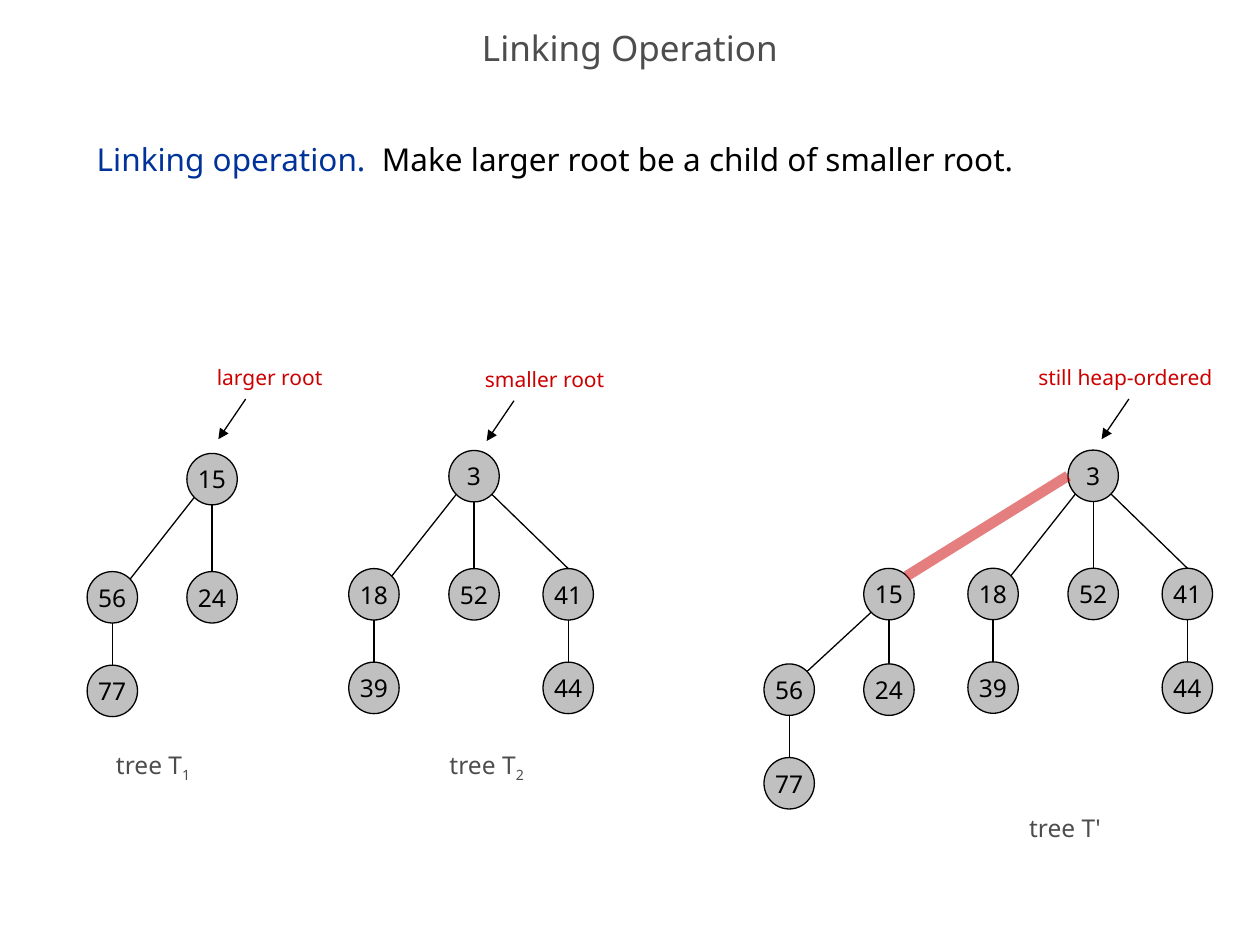
"""Build a slide on linking two heap-ordered trees."""
from dataclasses import dataclass, field
from typing import NamedTuple

from lxml import etree
from pptx import Presentation
from pptx.dml.color import RGBColor
from pptx.enum.shapes import MSO_CONNECTOR, MSO_SHAPE
from pptx.enum.text import MSO_ANCHOR, PP_ALIGN
from pptx.oxml.ns import qn
from pptx.util import Pt

STRAIGHT = MSO_CONNECTOR.STRAIGHT
ELLIPSE = MSO_SHAPE.OVAL
MIDDLE = MSO_ANCHOR.MIDDLE
TOP_ANCHOR = MSO_ANCHOR.TOP
LEFT_ALIGN = PP_ALIGN.LEFT
CENTER = PP_ALIGN.CENTER


@dataclass(frozen=True)
class Theme:
    font: str = "Noto Sans"
    ink: RGBColor = RGBColor(0x00, 0x00, 0x00)
    muted: RGBColor = RGBColor(0x4D, 0x4D, 0x4D)
    term: RGBColor = RGBColor(0x00, 0x33, 0x99)
    accent: RGBColor = RGBColor(0xCC, 0x00, 0x00)
    node_fill: RGBColor = RGBColor(0xC0, 0xC0, 0xC0)
    title_size: float = 20
    body_size: float = 18
    node_size: float = 14
    note_size: float = 12
    hairline: float = 0.75
    link_width: float = 6


THEME = Theme()
NODE_WIDTH, NODE_HEIGHT = 28.8, 29.4
LEVEL_GAP, LEAF_GAP, SUBTREE_GAP = 67.5, 53.5, 54.6


class Point(NamedTuple):
    x: float
    y: float


class Box(NamedTuple):
    left: float
    top: float
    width: float
    height: float


class Callout(NamedTuple):
    text: str
    box: Box
    tip: Point


class Caption(NamedTuple):
    text: str
    subscript: str
    box: Box


@dataclass(frozen=True)
class Node:
    key: str
    center: Point
    children: list["Node"] = field(default_factory=list)

    def site(self, across: float, down: float) -> Point:
        return Point(self.center.x + across * NODE_WIDTH, self.center.y + down * NODE_HEIGHT)


TOP, BOTTOM, LEFT = (0, -0.5), (0, 0.5), (-0.5, 0)
TOP_RIGHT, BOTTOM_LEFT, BOTTOM_RIGHT = (0.35, -0.35), (-0.35, 0.35), (0.35, 0.35)


def stem(key: str, x: float, y: float, leaf: str) -> Node:
    return Node(key, Point(x, y), [Node(leaf, Point(x, y + LEAF_GAP))])


def larger_tree(x: float, y: float, gap: float) -> Node:
    below = y + gap
    return Node("15", Point(x, y), [stem("56", x - 57, below, "77"), Node("24", Point(x, below))])


def smaller_tree(x: float, y: float) -> Node:
    below = y + LEVEL_GAP
    return Node("3", Point(x, y), [
        stem("18", x - 57.2, below, "39"),
        Node("52", Point(x, below)),
        stem("41", x + 53.8, below, "44"),
    ])


TREE_1 = larger_tree(121.2, 273.8, LEVEL_GAP)
TREE_2 = smaller_tree(270.9, 272.1)
MERGED = smaller_tree(624.7, 271.9)
LINKED = larger_tree(508, 339.5, SUBTREE_GAP)

CALLOUTS = [
    Callout("smaller root", Box(270, 205.9, 85.7, 21.8), Point(278.1, 252)),
    Callout("larger root", Box(116.8, 205, 78.5, 21.8), Point(124.8, 251)),
    Callout("still heap-ordered", Box(586.2, 205, 116.6, 21.8), Point(629.5, 251)),
]
CAPTIONS = [
    Caption("tree T", "1", Box(59.2, 425, 60.5, 24)),
    Caption("tree T", "2", Box(249.8, 425, 60.5, 24)),
    Caption("tree T'", "", Box(581, 461, 57.6, 24)),
]


def style_font(font, size: float, color: RGBColor) -> None:
    font.name = THEME.font
    font.size = Pt(size)
    font.color.rgb = color


def add_text(slide, box: Box, text: str, size: float, color: RGBColor, wrap: bool = False,
             align=LEFT_ALIGN, anchor=TOP_ANCHOR):
    frame = slide.shapes.add_textbox(*map(Pt, box)).text_frame
    frame.word_wrap = wrap
    frame.vertical_anchor = anchor
    paragraph = frame.paragraphs[0]
    paragraph.alignment = align
    paragraph.add_run().text = text
    style_font(paragraph.font, size, color)
    return paragraph


def add_line(slide, start: Point, end: Point, color: RGBColor = THEME.ink,
             width: float = THEME.hairline):
    line = slide.shapes.add_connector(STRAIGHT, *map(Pt, (*start, *end)))
    line.line.color.rgb = color
    line.line.width = Pt(width)
    etree.SubElement(line._element.spPr, qn("a:effectLst"))
    return line


def draw_edge(slide, parent: Node, child: Node) -> None:
    if child.center.x < parent.center.x:
        start, end = BOTTOM_LEFT, TOP_RIGHT
    elif child.center.x > parent.center.x:
        start, end = BOTTOM_RIGHT, TOP
    else:
        start, end = BOTTOM, TOP
    add_line(slide, parent.site(*start), child.site(*end))


def draw_tree(slide, node: Node) -> None:
    for child in node.children:
        draw_edge(slide, node, child)
        draw_tree(slide, child)
    corner = node.site(-0.5, -0.5)
    circle = slide.shapes.add_shape(ELLIPSE, *map(Pt, (*corner, NODE_WIDTH, NODE_HEIGHT)))
    circle.shadow.inherit = False
    circle.fill.solid()
    circle.fill.fore_color.rgb = THEME.node_fill
    circle.line.color.rgb = THEME.ink
    circle.line.width = Pt(THEME.hairline)
    frame = circle.text_frame
    frame.word_wrap = False
    frame.vertical_anchor = MIDDLE
    frame.text = node.key
    frame.paragraphs[0].alignment = CENTER
    style_font(frame.paragraphs[0].font, THEME.node_size, THEME.ink)


def draw_new_link(slide, parent: Node, child: Node) -> None:
    link = add_line(slide, child.site(*TOP_RIGHT), parent.site(*LEFT), THEME.accent, THEME.link_width)
    color = link._element.spPr.find(".//" + qn("a:srgbClr"))
    etree.SubElement(color, qn("a:alpha"), val="50000")


def draw_callout(slide, callout: Callout) -> None:
    add_text(slide, callout.box, callout.text, THEME.note_size, THEME.accent)
    arrow = add_line(slide, Point(callout.tip.x + 15.6, callout.tip.y - 23), callout.tip)
    etree.SubElement(arrow.line._get_or_add_ln(), qn("a:tailEnd"), type="triangle")


def draw_caption(slide, caption: Caption) -> None:
    paragraph = add_text(slide, caption.box, caption.text, THEME.node_size, THEME.muted)
    if caption.subscript:
        run = paragraph.add_run()
        run.text = caption.subscript
        run.font._element.set("baseline", "-25000")


def main() -> None:
    deck = Presentation()
    deck.slide_width, deck.slide_height = Pt(720), Pt(540)
    slide = deck.slides.add_slide(deck.slide_layouts[6])
    title = add_text(slide, Box(0, 12.2, 720, 36), "Linking Operation", THEME.title_size,
                     THEME.muted, True, CENTER, MIDDLE)
    title.line_spacing = 0.7
    statement = add_text(slide, Box(48.2, 72, 617.8, 426.2), "Linking operation.  ",
                         THEME.body_size, THEME.ink, True)
    statement.line_spacing = Pt(26)
    statement.runs[0].font.color.rgb = THEME.term
    statement.add_run().text = "Make larger root be a child of smaller root."
    for tree in (TREE_2, TREE_1, MERGED, LINKED):
        draw_tree(slide, tree)
    draw_new_link(slide, MERGED, LINKED)
    for caption in CAPTIONS:
        draw_caption(slide, caption)
    for callout in CALLOUTS:
        draw_callout(slide, callout)
    deck.save("out.pptx")


if __name__ == "__main__":
    main()
